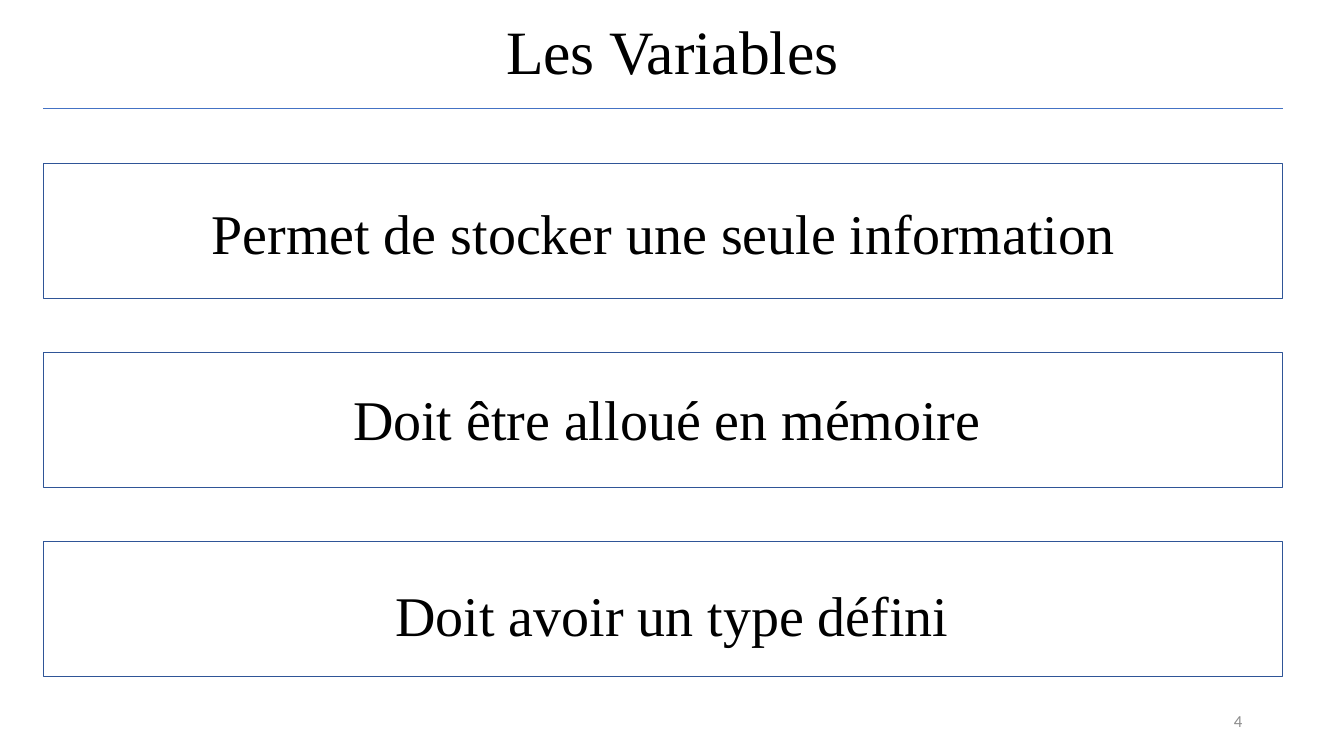
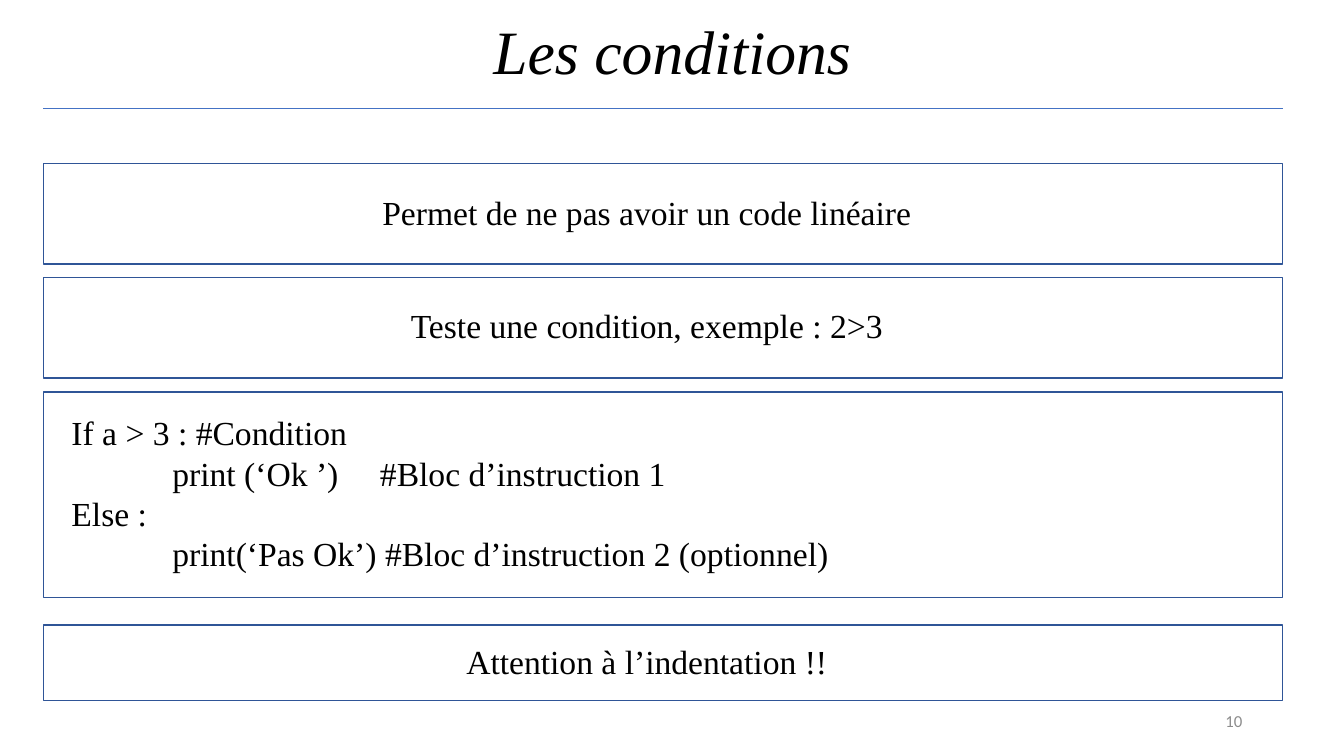
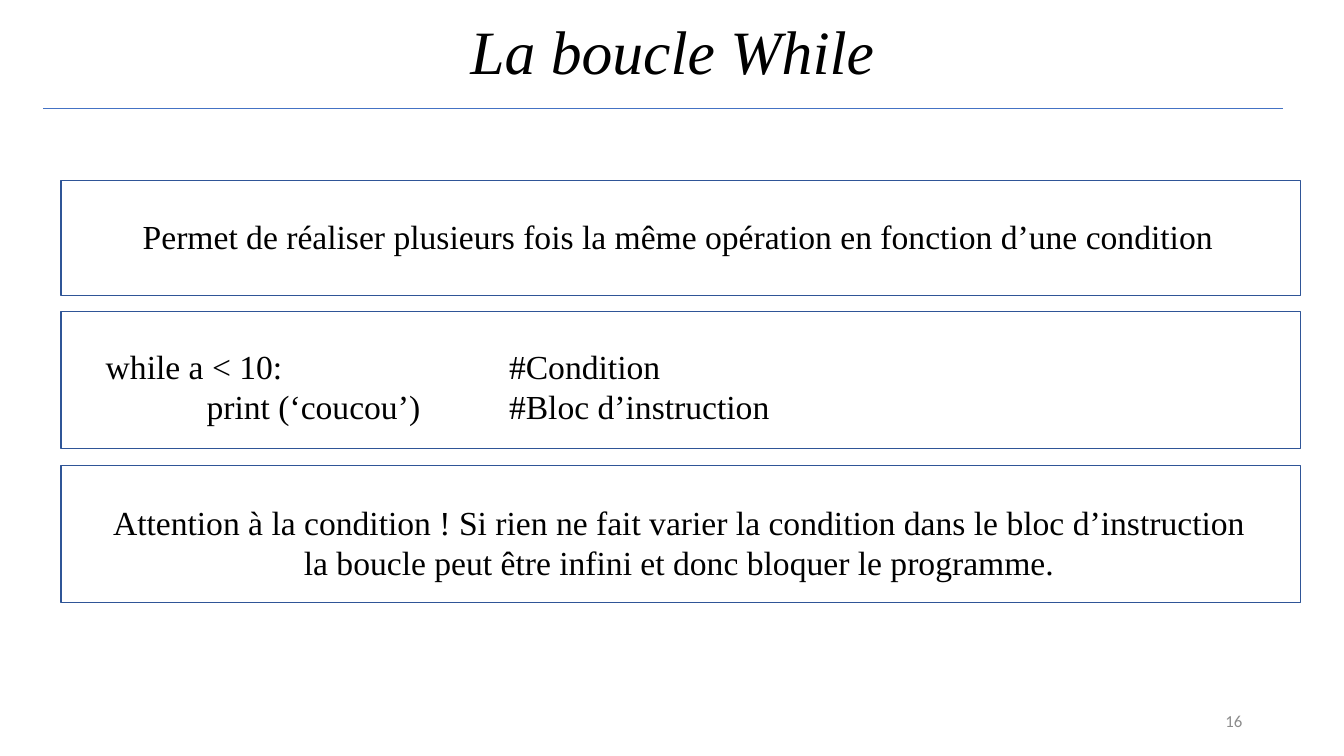
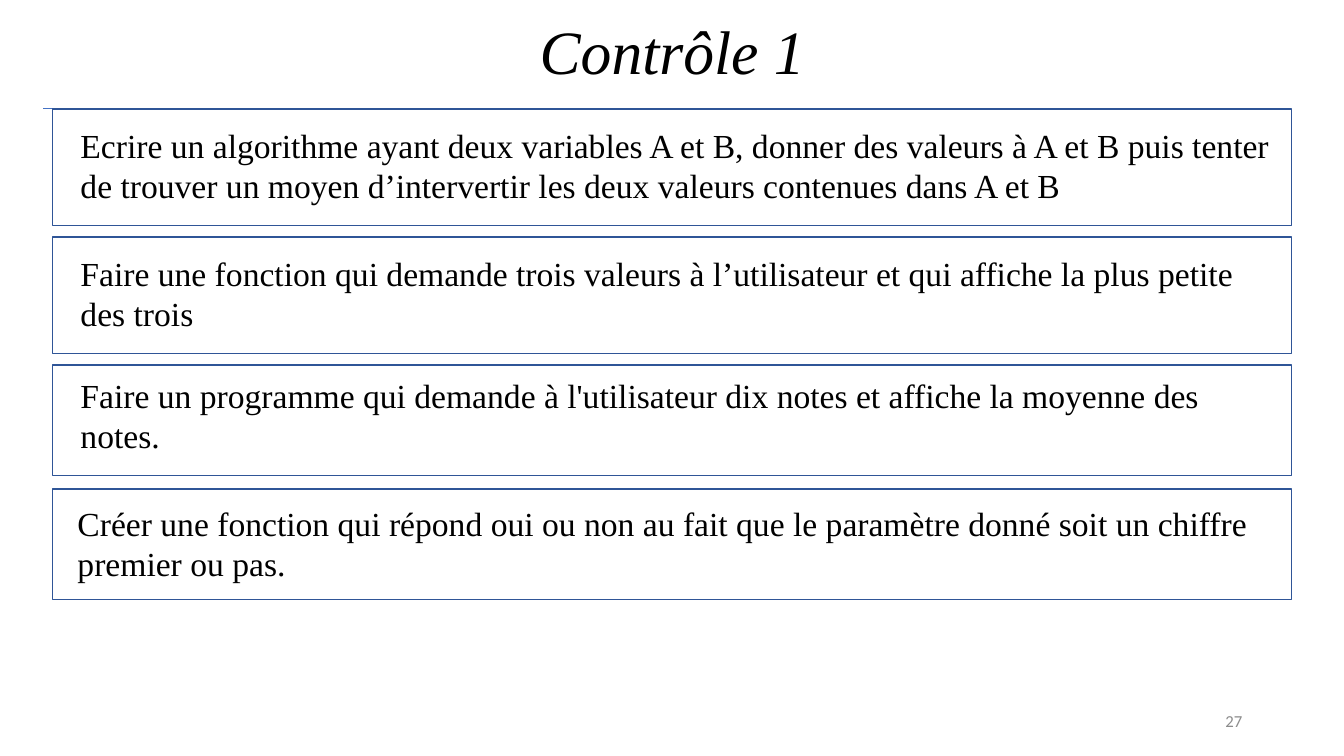
"""Four slides of a French programming course: titles, rule and framed statements."""
from lxml import etree
from pptx import Presentation
from pptx import util as u
from pptx.dml.color import RGBColor
from pptx.enum import shapes, text
from pptx.oxml.ns import qn

BLACK = RGBColor(0x00, 0x00, 0x00)
GREY = RGBColor(0x8C, 0x8C, 0x8C)
RULE_BLUE = RGBColor(0x44, 0x72, 0xC4)
FRAME_BLUE = RGBColor(0x2F, 0x55, 0x97)
SERIF, SANS = "Times New Roman", "Calibri"
LEFT, CENTER, RIGHT = text.PP_ALIGN.LEFT, text.PP_ALIGN.CENTER, text.PP_ALIGN.RIGHT
MIDDLE, TOP = text.MSO_ANCHOR.MIDDLE, text.MSO_ANCHOR.TOP

prs = Presentation()
prs.slide_width, prs.slide_height = u.Inches(13.33), u.Inches(7.5)
COL, ROW = prs.slide_width / 100, prs.slide_height / 100
MARGIN, FRAME_W, RULE_Y = 3.23, 92.2, 14.4


def cells(x, y, w, h):
    return int(x * COL), int(y * ROW), int(w * COL), int(h * ROW)


def add_text(s, at, lines, size, align, anchor=TOP, font=SERIF, color=BLACK, italic=False, tabs=()):
    tf = s.shapes.add_textbox(*cells(*at)).text_frame
    tf.word_wrap = True
    tf.vertical_anchor = anchor
    tf.text = lines
    for p in tf.paragraphs:
        p.alignment = align
        p.font.name, p.font.size, p.font.italic = font, u.Pt(size), italic
        p.font.color.rgb = color
        if tabs:
            stops = etree.Element(qn("a:tabLst"))
            for stop in tabs:
                etree.SubElement(stops, qn("a:tab"), pos=str(u.Inches(stop)), algn="l")
            p._p.get_or_add_pPr().insert(0, stops)
    return tf


# title, italic, number, frame left, text size, text width,
# then per frame: top, height, text left, text top, line count, alignment, tab stops, text
SLIDES = [
    ("Les Variables", False, 4, MARGIN, 40, 87.1, [
        (21.6, 17.87, 5.78, 25.6, 1, CENTER, (), "Permet de stocker une seule information"),
        (46.6, 17.87, 6.08, 50.27, 1, CENTER, (), "Doit être alloué en mémoire"),
        (71.6, 17.87, 6.45, 76.13, 1, CENTER, (), "Doit avoir un type défini"),
    ]),
    ("Les conditions", True, 10, MARGIN, 24, 87.1, [
        (21.6, 13.33, 4.58, 24.67, 1, CENTER, (), "Permet de ne pas avoir un code linéaire"),
        (36.67, 13.33, 4.58, 39.73, 1, CENTER, (), "Teste une condition, exemple : 2>3"),
        (51.87, 27.2, 4.58, 53.87, 4, LEFT, (1, 3.06),
         "If a > 3 : #Condition\n"
         "\tprint (‘Ok ’)\t#Bloc d’instruction 1\n"
         "Else :\n"
         "\tprint(‘Pas Ok’) #Bloc d’instruction 2 (optionnel)"),
        (82.67, 10, 4.58, 84.13, 1, CENTER, (), "Attention à l’indentation !!"),
    ]),
    ("La boucle While", True, 16, 4.55, 24, 87.1, [
        (23.87, 15.2, 6.9, 27.87, 1, CENTER, (),
         "Permet de réaliser plusieurs fois la même opération en fonction d’une condition"),
        (41.2, 18.13, 7.13, 45.07, 2, LEFT, (1, 4),
         "while a < 10:\t#Condition\n"
         "\tprint (‘coucou’)\t#Bloc d’instruction"),
        (61.6, 18.13, 6.98, 65.73, 2, CENTER, (),
         "Attention à la condition ! Si rien ne fait varier la condition dans le bloc "
         "d’instruction la boucle peut être infini et donc bloquer le programme."),
    ]),
    ("Contrôle 1", True, 27, 3.9, 24, 90, [
        (14.4, 15.47, 5.25, 15.87, 2, LEFT, (),
         "Ecrire un algorithme ayant deux variables A et B, donner des valeurs à A et B puis "
         "tenter de trouver un moyen d’intervertir les deux valeurs contenues dans A et B"),
        (31.33, 15.47, 5.25, 32.8, 2, LEFT, (),
         "Faire une fonction qui demande trois valeurs à l’utilisateur et qui affiche la plus "
         "petite des trois"),
        (48.27, 14.67, 5.25, 48.93, 2, LEFT, (),
         "Faire un programme qui demande à l'utilisateur dix notes et affiche la moyenne des notes."),
        (64.67, 14.67, 5.03, 65.87, 2, LEFT, (),
         "Créer une fonction qui répond oui ou non au fait que le paramètre donné soit un "
         "chiffre premier ou pas."),
    ]),
]

for title, italic, number, frame_x, size, text_w, frames in SLIDES:
    s = prs.slides.add_slide(prs.slide_layouts[6])
    tf = add_text(s, (6.9, -2.4, 86.27, 19.33), title, 44, CENTER, MIDDLE, italic=italic)
    tf.paragraphs[0].line_spacing = 0.9
    add_text(s, (70.67, 92.67, 22.5, 5.33), str(number), 12, RIGHT, MIDDLE, SANS, GREY)

    x, y, w, _ = cells(MARGIN, RULE_Y, FRAME_W, 0)
    rule = s.shapes.add_connector(shapes.MSO_CONNECTOR.STRAIGHT, x, y, x + w, y)
    rule.line.color.rgb, rule.line.width = RULE_BLUE, u.Pt(0.5)
    etree.SubElement(rule._element.spPr, qn("a:effectLst"))

    for top, height, text_x, text_y, count, align, tabs, words in frames:
        sp = s.shapes.add_shape(shapes.MSO_SHAPE.RECTANGLE, *cells(frame_x, top, FRAME_W, height))
        sp.shadow.inherit = False
        sp.fill.background()
        sp.line.color.rgb, sp.line.width = FRAME_BLUE, u.Pt(1)
        text_h = 1.33 + 0.22 * size * count
        tf = add_text(s, (text_x, text_y, text_w, text_h), words, size, align, tabs=tabs)
        tf.auto_size = text.MSO_AUTO_SIZE.SHAPE_TO_FIT_TEXT

prs.save("out.pptx")
